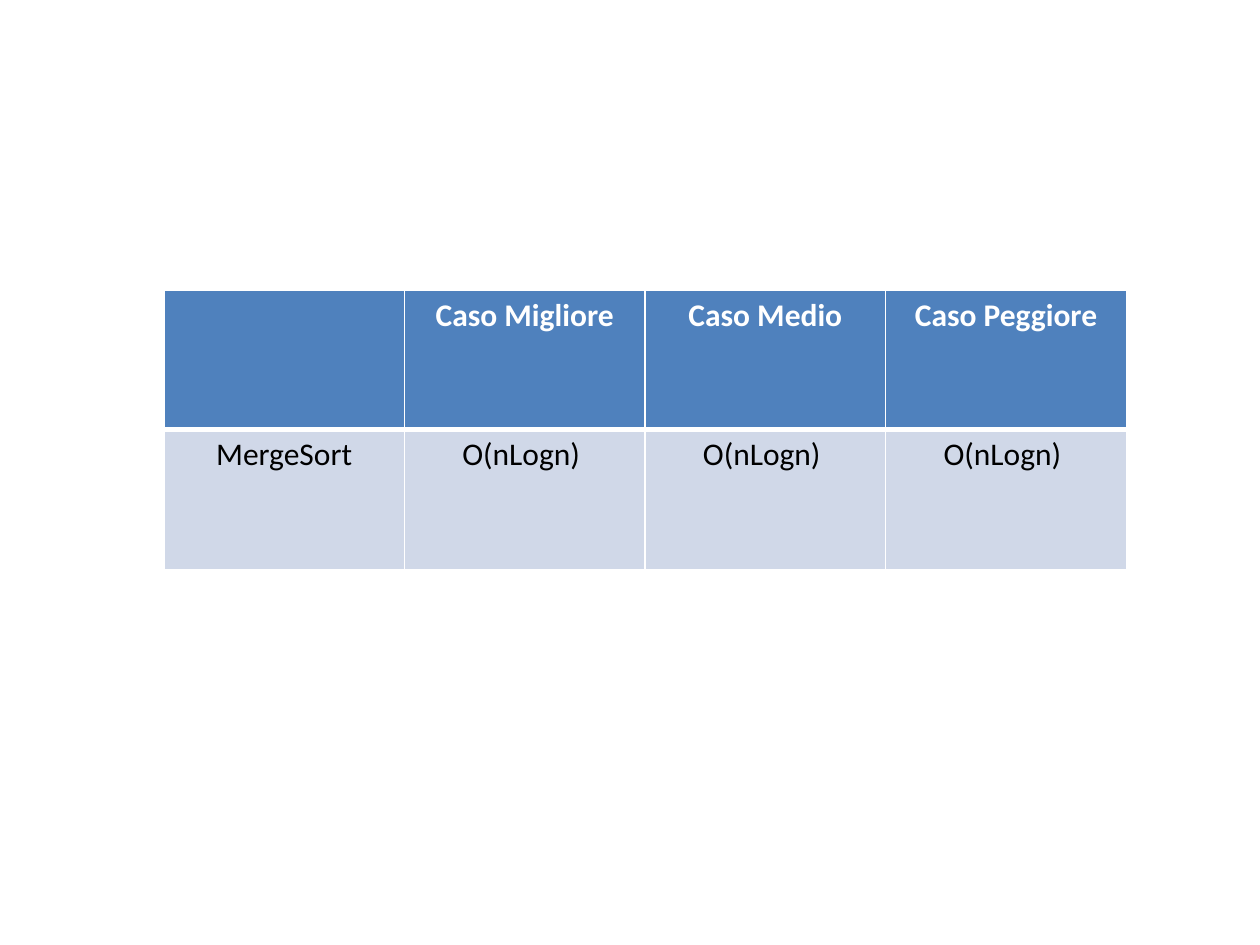
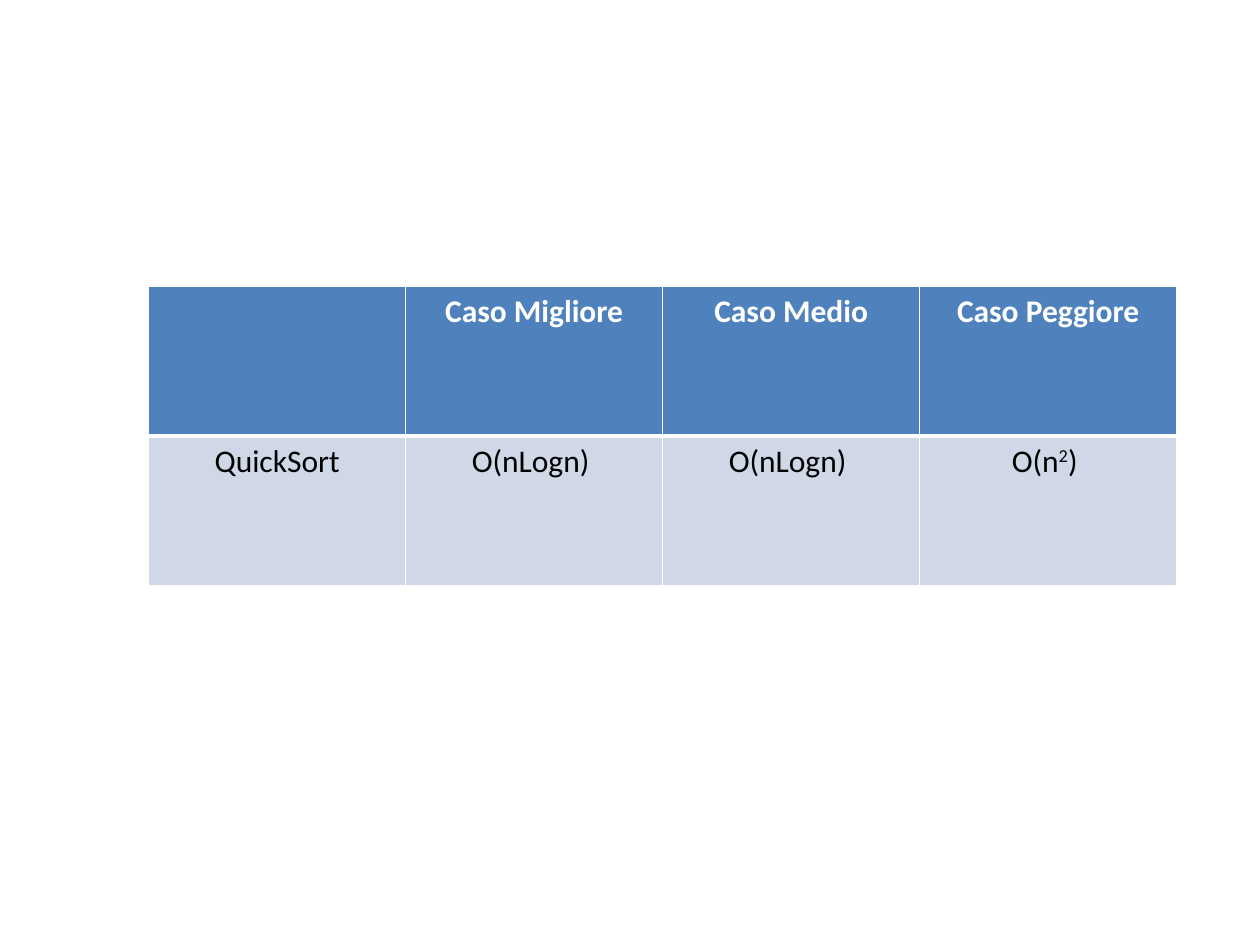
from dataclasses import dataclass

import lxml.etree
import pptx
import pptx.dml.color
import pptx.enum.text
import pptx.oxml.ns
import pptx.util

# Shared style
SLIDE_W, SLIDE_H = 10, 7.5
FONT, FONT_SIZE = "Calibri", 18
WHITE, BLACK = "FFFFFF", "000000"
HEADER_FILL, BODY_FILL = "4F81BD", "D0D8E8"
THIN, THICK = 1, 3
SUPERSCRIPT = "30000"

HEADINGS = ("", "Caso Migliore", "Caso Medio", "Caso Peggiore")
N_LOG_N = "O(nLogn) "


@dataclass(frozen=True)
class CostTable:
    """Place and size in inches; '^' in a cell raises the next character."""
    left: float
    top: float
    col_width: float
    row_height: float
    costs: tuple[str, ...]


TABLES = (
    CostTable(1.3, 2.3, 1.91, 1.11, ("MergeSort", N_LOG_N, N_LOG_N, N_LOG_N)),
    CostTable(1.18, 2.27, 2.04, 1.19, ("QuickSort", N_LOG_N, N_LOG_N, "O(n^2) ")),
)


def rgb(color: str) -> pptx.dml.color.RGBColor:
    return pptx.dml.color.RGBColor.from_string(color)


def set_borders(cell, top: float, bottom: float) -> None:
    qn = pptx.oxml.ns.qn
    tc_pr = cell._tc.get_or_add_tcPr()
    for side, width in (("L", THIN), ("R", THIN), ("T", top), ("B", bottom)):
        ln = lxml.etree.SubElement(tc_pr, qn(f"a:ln{side}"), w=str(pptx.util.Pt(width)))
        fill = lxml.etree.SubElement(ln, qn("a:solidFill"))
        lxml.etree.SubElement(fill, qn("a:srgbClr"), val=WHITE)


def add_run(p, text: str, color: str, bold: bool, raised: bool = False) -> None:
    r = p.add_run()
    r.text = text
    r.font.name = FONT
    r.font.size = pptx.util.Pt(FONT_SIZE)
    r.font.bold = bold
    r.font.color.rgb = rgb(color)
    if raised:
        r.font._element.set("baseline", SUPERSCRIPT)


def fill_cell(cell, text: str, header: bool) -> None:
    # Borders go before the fill in the cell properties
    set_borders(cell, THIN if header else THICK, THICK if header else THIN)
    cell.fill.solid()
    cell.fill.fore_color.rgb = rgb(HEADER_FILL if header else BODY_FILL)
    p = cell.text_frame.paragraphs[0]
    p.alignment = pptx.enum.text.PP_ALIGN.CENTER
    color = WHITE if header else BLACK
    base, _, rest = text.partition("^")
    for part, raised in ((base, False), (rest[:1], True), (rest[1:], False)):
        if part:
            add_run(p, part, color, header, raised)


def add_cost_table(s, spec_table: CostTable) -> None:
    rows = (HEADINGS, spec_table.costs)
    inches = pptx.util.Inches
    table = s.shapes.add_table(
        len(rows), len(HEADINGS), inches(spec_table.left), inches(spec_table.top),
        inches(spec_table.col_width * len(HEADINGS)),
        inches(spec_table.row_height * len(rows))).table
    for i, texts in enumerate(rows):
        for j, text in enumerate(texts):
            fill_cell(table.cell(i, j), text, header=i == 0)


def main() -> None:
    prs = pptx.Presentation()
    prs.slide_width = pptx.util.Inches(SLIDE_W)
    prs.slide_height = pptx.util.Inches(SLIDE_H)
    blank = prs.slide_layouts[6]
    # One slide per sorting algorithm
    for cost_table in TABLES:
        add_cost_table(prs.slides.add_slide(blank), cost_table)
    prs.save("out.pptx")


if __name__ == "__main__":
    main()
